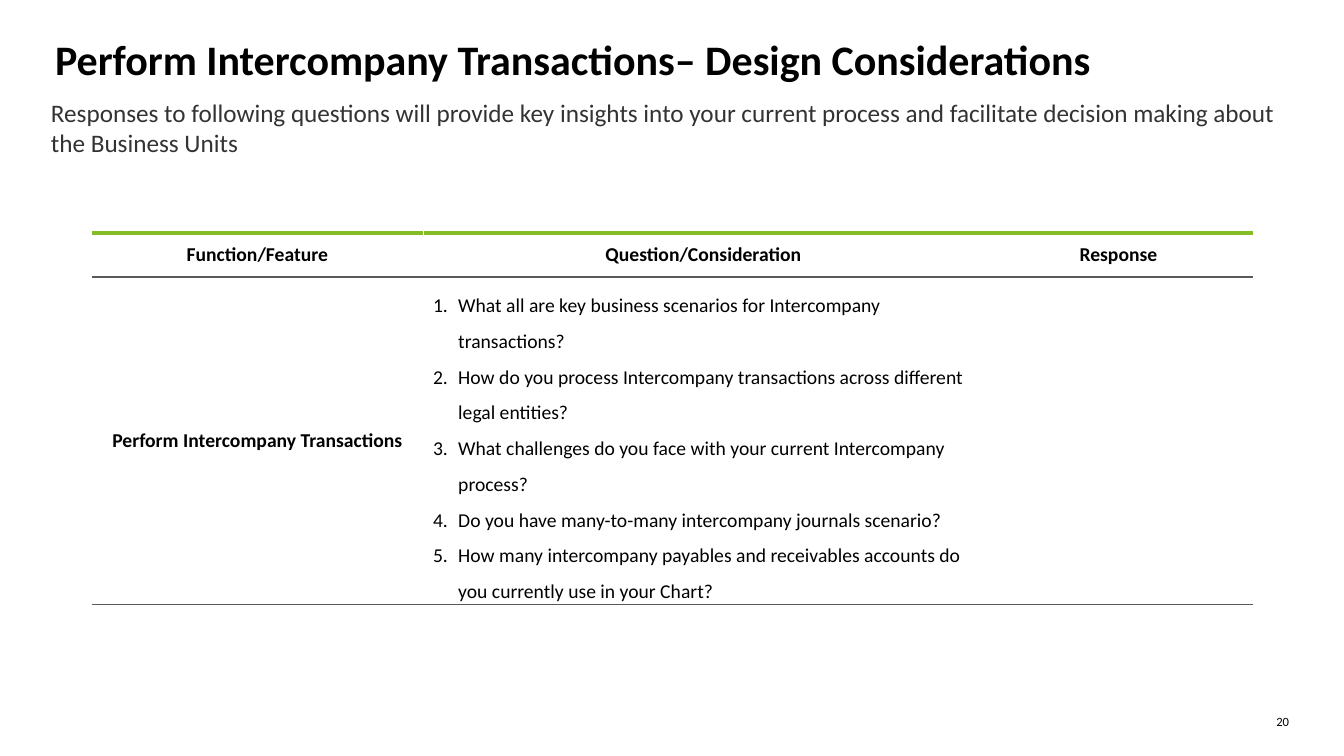
"""Build the intercompany transactions design considerations slide."""
import pptx
import pptx.dml.color
import pptx.enum.text
import pptx.oxml.ns
import pptx.util
from lxml import etree

RGBColor = pptx.dml.color.RGBColor
PP_ALIGN = pptx.enum.text.PP_ALIGN
MSO_ANCHOR = pptx.enum.text.MSO_ANCHOR
Pt = pptx.util.Pt
qn = pptx.oxml.ns.qn

BLACK = RGBColor(0x00, 0x00, 0x00)
WHITE = RGBColor(0xFF, 0xFF, 0xFF)
DARK_GRAY = RGBColor(0x33, 0x33, 0x33)
RULE_GRAY = RGBColor(0x59, 0x59, 0x59)
GREEN = RGBColor(0x86, 0xBC, 0x25)

FONT = "Calibri"
EMU_PER_PX = 914400 / 100.8
NO_STYLE = "{2D5ABB26-0587-4C30-8999-92F81FD0307C}"

COL_WIDTHS = [331, 561, 269]
ROW_HEIGHTS = [44, 325]
HEADERS = ["Function/Feature", "Question/Consideration", "Response"]
FEATURE = "Perform Intercompany Transactions"
QUESTIONS = [
    "What all are key business scenarios for Intercompany transactions?",
    "How do you process Intercompany transactions across different legal entities?",
    "What challenges do you face with your current Intercompany process?",
    "Do you have many-to-many intercompany journals scenario?",
    "How many intercompany payables and receivables accounts do you currently use in your Chart?",
]
SUBTITLE = (
    "Responses to following questions will provide key insights into your current "
    "process and facilitate decision making about the Business Units"
)


def px(n):
    """Turn pixels into EMU."""
    return pptx.util.Emu(round(n * EMU_PER_PX))


def add_run(p, text, size, color=BLACK, bold=False):
    """Add one formatted run to a paragraph."""
    r = p.add_run()
    r.text = text
    r.font.name = FONT
    r.font.size = Pt(size)
    r.font.bold = bold
    r.font.color.rgb = color


def add_text(s, box, text, size, color=BLACK, bold=False, align=PP_ALIGN.LEFT):
    """Add a text box without insets."""
    tf = s.shapes.add_textbox(*map(px, box)).text_frame
    tf.word_wrap = True
    tf.margin_left = tf.margin_right = tf.margin_top = tf.margin_bottom = 0
    p = tf.paragraphs[0]
    p.alignment = align
    add_run(p, text, size, color, bold)


def set_borders(cell, **borders):
    """Draw the given cell sides as (color, points) and clear the others."""
    tc_pr = cell._tc.get_or_add_tcPr()
    for side in "LRTB":
        ln = etree.SubElement(tc_pr, qn(f"a:ln{side}"))
        if side in borders:
            color, width = borders[side]
            ln.set("w", str(int(Pt(width))))
            fill = etree.SubElement(ln, qn("a:solidFill"))
            etree.SubElement(fill, qn("a:srgbClr"), val=str(color))
        else:
            ln.set("w", "0")
            etree.SubElement(ln, qn("a:noFill"))


def fill_centered(cell, text):
    """Put bold centred text in a cell."""
    cell.vertical_anchor = MSO_ANCHOR.MIDDLE
    p = cell.text_frame.paragraphs[0]
    p.alignment = PP_ALIGN.CENTER
    add_run(p, text, 14, bold=True)


def fill_numbered(cell, items):
    """Put a numbered list in a cell."""
    tf = cell.text_frame
    for i, item in enumerate(items):
        p = tf.add_paragraph() if i else tf.paragraphs[0]
        p_pr = p._p.get_or_add_pPr()
        p_pr.set("marL", "228600")
        p_pr.set("indent", "-228600")
        etree.SubElement(p_pr, qn("a:buFont"), typeface="+mj-lt")
        etree.SubElement(p_pr, qn("a:buAutoNum"), type="arabicPeriod")
        p.line_spacing = 1.5
        add_run(p, item, 14)


def add_question_table(s, left, top):
    """Add the table of questions to answer."""
    frame = s.shapes.add_table(
        len(ROW_HEIGHTS), len(COL_WIDTHS),
        px(left), px(top), px(sum(COL_WIDTHS)), px(sum(ROW_HEIGHTS)),
    )
    table = frame.table
    table.first_row = table.horz_banding = False
    table._tbl.tblPr.find(qn("a:tableStyleId")).text = NO_STYLE
    for col, width in zip(table.columns, COL_WIDTHS):
        col.width = px(width)
    for row, height in zip(table.rows, ROW_HEIGHTS):
        row.height = px(height)

    rule, gap = (RULE_GRAY, 1), (WHITE, 0.5)
    sides = [{"R": gap}, {"L": gap}, {"R": gap}]
    for i, (header, extra) in enumerate(zip(HEADERS, sides)):
        head, body = table.cell(0, i), table.cell(1, i)
        set_borders(head, T=(GREEN, 3), B=rule, **extra)
        head.fill.solid()
        head.fill.fore_color.rgb = WHITE
        fill_centered(head, header)
        set_borders(body, T=rule, B=rule)
        body.fill.background()
    fill_centered(table.cell(1, 0), FEATURE)
    fill_numbered(table.cell(1, 1), QUESTIONS)


def main():
    """Build and save the slide."""
    prs = pptx.Presentation()
    prs.slide_width, prs.slide_height = px(1344), px(756)
    s = prs.slides.add_slide(prs.slide_layouts[6])
    add_text(s, (1255, 714, 34, 15), "20", 9, align=PP_ALIGN.RIGHT)
    add_question_table(s, 92, 233)
    add_text(s, (55, 33, 1391, 49),
             "Perform Intercompany Transactions– Design Considerations", 30, bold=True)
    add_text(s, (51, 97, 1241, 61), SUBTITLE, 18, DARK_GRAY)
    prs.save("out.pptx")


if __name__ == "__main__":
    main()
